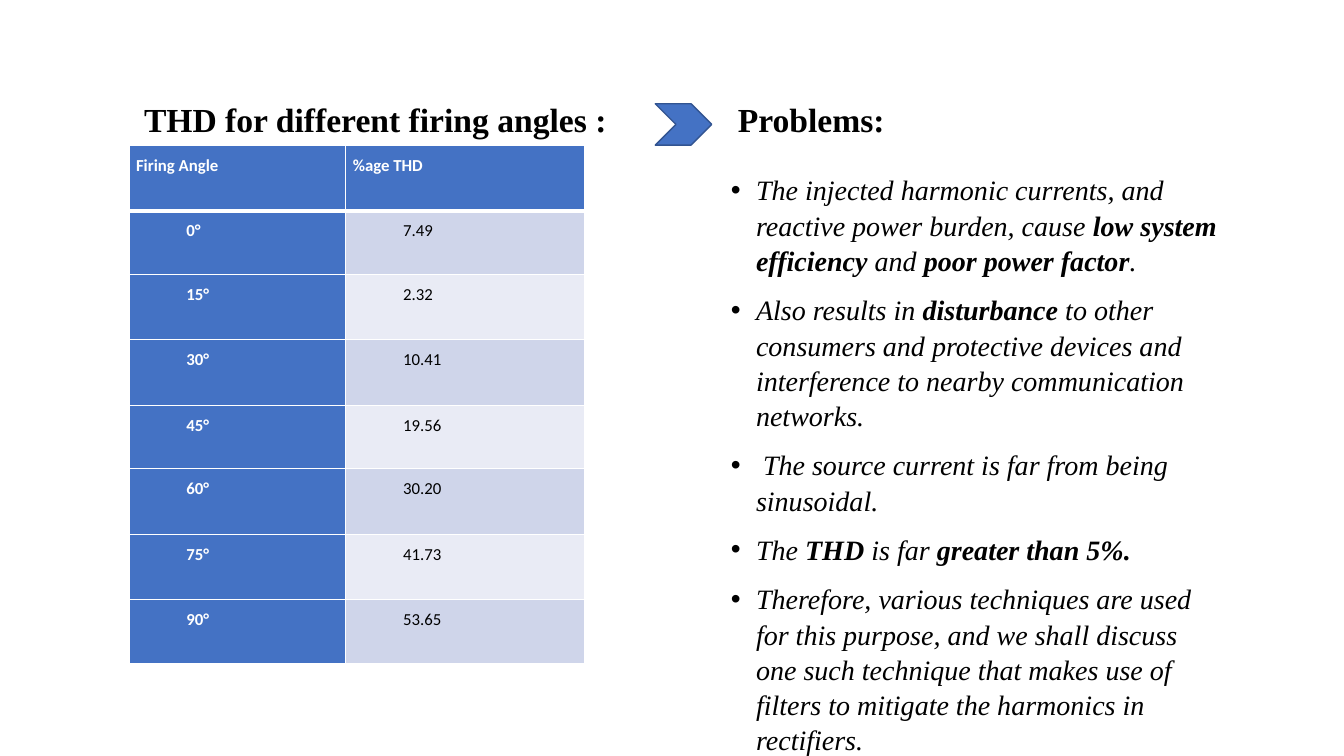
from dataclasses import dataclass

from lxml.etree import SubElement
from pptx import Presentation
from pptx.dml.color import RGBColor
from pptx.enum.shapes import MSO_SHAPE
from pptx.enum.text import MSO_ANCHOR, PP_ALIGN
from pptx.oxml import parse_xml
from pptx.oxml.ns import nsdecls, qn
from pptx.util import Inches, Pt


@dataclass(frozen=True)
class Theme:
    """Colours, typefaces and type sizes of the slide."""
    accent: str = "4472C4"
    outline: str = "325491"
    text: str = "000000"
    light: str = "FFFFFF"
    bands: tuple = ("CFD5EA", "E9EBF5")
    serif: str = "Times New Roman"
    sans: str = "Calibri"
    heading_size: int = 24
    body_size: int = 20
    table_size: int = 12


def write_runs(paragraph, text, *, font, size, color, bold=False, italic=False):
    """Write text as runs, switching weight at each double asterisk."""
    for index, part in enumerate(text.split("**")):
        if not part:
            continue
        run = paragraph.add_run()
        run.text = part
        run.font.name = font
        run.font.size = Pt(size)
        run.font.bold = bold != (index % 2 == 1)
        run.font.italic = italic
        run.font.color.rgb = RGBColor.from_string(color)


def indent(paragraph, left, first=0):
    """Set the left margin and first-line indent in inches."""
    properties = paragraph._p.get_or_add_pPr()
    properties.set("marL", str(Inches(left)))
    properties.set("indent", str(Inches(first)))
    return properties


class SlideBuilder:
    """Places styled elements on a slide of 100 columns by 100 rows."""

    def __init__(self, presentation, theme):
        """Add a blank slide and keep the size of one grid unit."""
        self.theme = theme
        self.column = presentation.slide_width / 100
        self.row = presentation.slide_height / 100
        self.slide = presentation.slides.add_slide(presentation.slide_layouts[6])

    def place(self, left, top, width, height):
        """Turn grid units into slide lengths."""
        return (round(left * self.column), round(top * self.row),
                round(width * self.column), round(height * self.row))

    def text_frame(self, *area, anchor=MSO_ANCHOR.TOP):
        """Add a wrapping text box and return its frame."""
        frame = self.slide.shapes.add_textbox(*self.place(*area)).text_frame
        frame.word_wrap = True
        frame.vertical_anchor = anchor
        return frame

    def heading(self, text, left):
        """Add a bold heading above a column."""
        frame = self.text_frame(left, 5.87, 38.26, 13.33, anchor=MSO_ANCHOR.BOTTOM)
        paragraph = frame.paragraphs[0]
        paragraph.line_spacing = 0.9
        indent(paragraph, 0.16)
        write_runs(paragraph, text, font=self.theme.serif, size=self.theme.heading_size,
                   color=self.theme.text, bold=True)

    def bullets(self, items, *area):
        """Add an italic bulleted list."""
        frame = self.text_frame(*area)
        for index, item in enumerate(items):
            paragraph = frame.add_paragraph() if index else frame.paragraphs[0]
            paragraph.space_before = Pt(10)
            paragraph.line_spacing = 1.05
            properties = indent(paragraph, 0.25, -0.25)
            SubElement(properties, qn("a:buFont")).set("typeface", "Arial")
            SubElement(properties, qn("a:buChar")).set("char", "•")
            write_runs(paragraph, item, font=self.theme.serif, size=self.theme.body_size,
                       color=self.theme.text, italic=True)

    def chevron(self, *area):
        """Add a filled chevron."""
        shape = self.slide.shapes.add_shape(MSO_SHAPE.CHEVRON, *self.place(*area))
        shape.shadow.inherit = False
        shape.fill.solid()
        shape.fill.fore_color.rgb = RGBColor.from_string(self.theme.accent)
        shape.line.color.rgb = RGBColor.from_string(self.theme.outline)
        shape.line.width = Pt(1)

    def table(self, records, left, top, column_widths, row_heights):
        """Add a table with a header row and a header column."""
        area = self.place(left, top, sum(column_widths), sum(row_heights))
        table = self.slide.shapes.add_table(len(records), len(column_widths), *area).table
        table.first_row = table.horz_banding = False
        for column, width in zip(table.columns, column_widths):
            column.width = round(width * self.column)
        for row, height in zip(table.rows, row_heights):
            row.height = round(height * self.row)
        for row_index, record in enumerate(records):
            for column_index, text in enumerate(record):
                self.cell(table.cell(row_index, column_index), text, row_index, column_index)

    def cell(self, cell, text, row_index, column_index):
        """Fill, frame and write one table cell."""
        is_header = row_index == 0 or column_index == 0
        cell.margin_left = cell.margin_right = Inches(0.07)
        cell.margin_top = cell.margin_bottom = 0
        cell.fill.solid()
        fill = self.theme.accent if is_header else self.theme.bands[(row_index - 1) % 2]
        cell.fill.fore_color.rgb = RGBColor.from_string(fill)
        paragraph = cell.text_frame.paragraphs[0]
        paragraph.alignment = PP_ALIGN.JUSTIFY
        paragraph.line_spacing = 1.5
        paragraph.space_after = Pt(8)
        indent(paragraph, 0.5 if row_index else 0)
        write_runs(paragraph, text, font=self.theme.sans, size=self.theme.table_size,
                   color=self.theme.light if is_header else self.theme.text, bold=is_header)
        widths = {"L": 1, "R": 1, "T": 3 if row_index == 1 else 1,
                  "B": 3 if row_index == 0 else 1}
        for position, (side, width) in enumerate(widths.items()):
            border = parse_xml(
                f'<a:ln{side} {nsdecls("a")} w="{Pt(width)}"><a:solidFill>'
                f'<a:srgbClr val="{self.theme.light}"/></a:solidFill></a:ln{side}>')
            cell._tc.get_or_add_tcPr().insert(position, border)


def main():
    """Build the slide and save it."""
    presentation = Presentation()
    presentation.slide_width = Inches(13.33)
    presentation.slide_height = Inches(7.5)
    builder = SlideBuilder(presentation, Theme())

    distortions = ["7.49", "2.32", "10.41", "19.56", "30.20", "41.73", "53.65"]
    records = [("Firing Angle", "%age THD")]
    records += [(f"{15 * step}°", value) for step, value in enumerate(distortions)]
    row_heights = [8.4 if index % 3 == 1 else 8.67 for index in range(len(records))]
    builder.heading("THD for different firing angles :", 8.78)
    builder.table(records, 9.6, 19.2, (16.13, 17.78), row_heights)

    problems = [
        "The injected harmonic currents, and reactive power burden, cause "
        "**low system efficiency **and **poor power factor**.",
        "Also results in **disturbance** to other consumers and protective devices "
        "and interference to nearby communication networks.",
        " The source current is far from being sinusoidal.",
        "The **THD** is far **greater than 5%.**",
        "Therefore, various techniques are used for this purpose, and we shall discuss one "
        "such technique that makes use of filters to mitigate the harmonics in rectifiers.",
    ]
    builder.heading("Problems:", 52.96)
    builder.bullets(problems, 53.64, 22, 38.26, 72.13)
    builder.chevron(48.76, 13.73, 4.2, 5.47)
    presentation.save("out.pptx")


if __name__ == "__main__":
    main()
